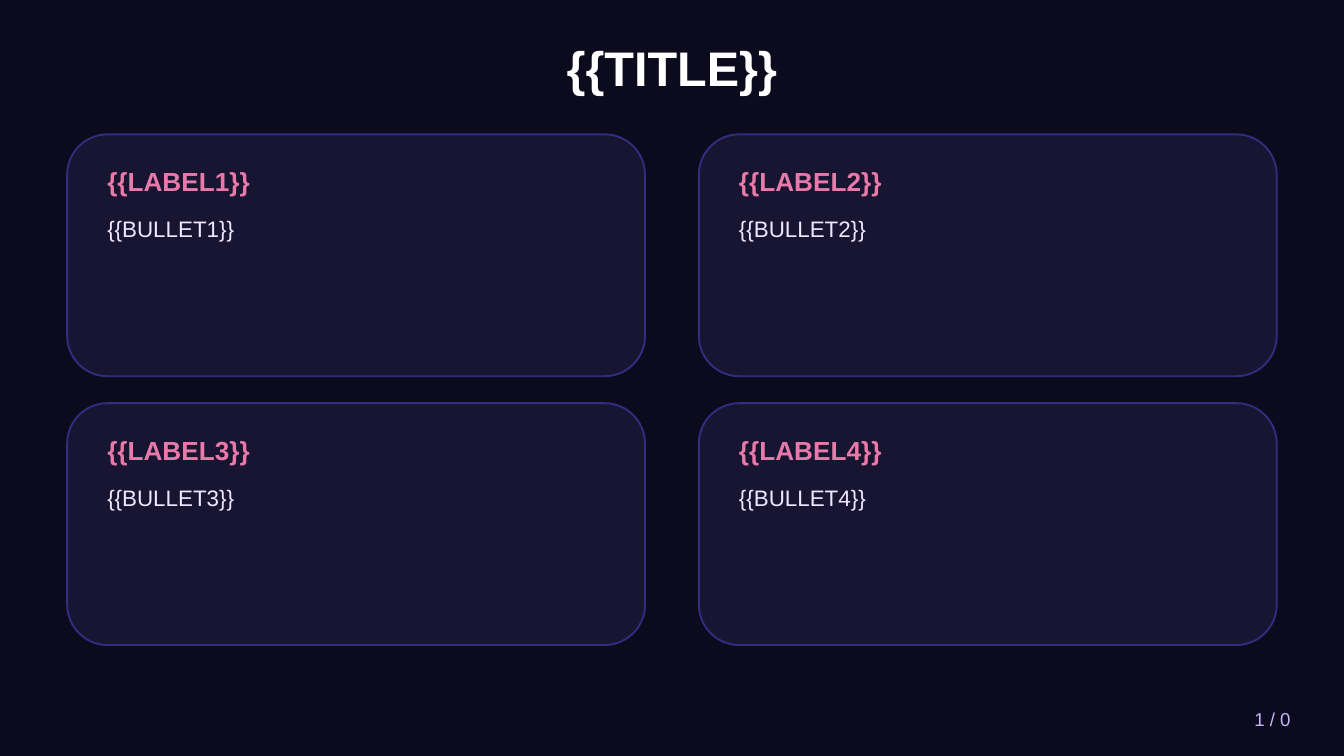
import pptx
import pptx.util
import pptx.dml.color
import pptx.enum.shapes
import pptx.enum.text
import pptx.oxml.ns
import lxml.etree

RGBColor = pptx.dml.color.RGBColor
ALIGN = pptx.enum.text.PP_ALIGN
ANCHOR = pptx.enum.text.MSO_ANCHOR

BACKGROUND = RGBColor(0x0C, 0x0A, 0x1D)
WHITE = RGBColor(0xFF, 0xFF, 0xFF)
CARD_FILL = RGBColor(0x1A, 0x17, 0x35)
CARD_LINE = RGBColor(0x31, 0x2E, 0x81)
PINK = RGBColor(0xE8, 0x79, 0xA9)
LAVENDER = RGBColor(0xF0, 0xE6, 0xFF)
VIOLET = RGBColor(0xC4, 0xB5, 0xFD)

PX = pptx.util.Inches(1) // 200


def place(sp, x, y, w, h):
    sp.left, sp.top, sp.width, sp.height = (v * PX for v in (x, y, w, h))


def write(sp, text, size, color, bold=False, align=ALIGN.LEFT, anchor=ANCHOR.MIDDLE):
    tf = sp.text_frame
    tf.text = text
    tf.word_wrap = True
    tf.vertical_anchor = anchor
    p = tf.paragraphs[0]
    p.alignment = align
    font = p.runs[0].font
    font.name = "Arial"
    font.size = pptx.util.Pt(size)
    font.bold = bold
    font.color.rgb = color


def add_text(s, x, y, w, h, text, size, color, **style):
    sp = s.shapes.add_textbox(x * PX, y * PX, w * PX, h * PX)
    write(sp, text, size, color, **style)


def add_title(s, x, y, w, h, text):
    sp = s.shapes.title
    place(sp, x, y, w, h)
    write(sp, text, 26, WHITE, bold=True, align=ALIGN.CENTER)


def add_card(s, x, y, w, h, label, bullet):
    sp = s.shapes.add_shape(
        pptx.enum.shapes.MSO_SHAPE.ROUNDED_RECTANGLE, x * PX, y * PX, w * PX, h * PX
    )
    sp.shadow.inherit = False
    sp.fill.solid()
    sp.fill.fore_color.rgb = CARD_FILL
    srgb = sp.fill._xPr.find(".//" + pptx.oxml.ns.qn("a:srgbClr"))
    lxml.etree.SubElement(srgb, pptx.oxml.ns.qn("a:alpha"), val="90000")
    sp.line.color.rgb = CARD_LINE
    sp.line.width = pptx.util.Pt(1)
    add_text(s, x + 40, y + 30, w - 80, 80, label, 14, PINK, bold=True)
    add_text(s, x + 40, y + 110, w - 80, 200, bullet, 12, LAVENDER, anchor=ANCHOR.TOP)


def add_card_grid(s, x, y, w, h):
    card_w, card_h = 860, 360
    step_x, step_y = w - card_w, h - card_h
    for i in range(4):
        row, col = divmod(i, 2)
        add_card(
            s, x + col * step_x, y + row * step_y, card_w, card_h,
            f"{{{{LABEL{i + 1}}}}}", f"{{{{BULLET{i + 1}}}}}",
        )


def main():
    prs = pptx.Presentation()
    prs.slide_width, prs.slide_height = 2000 * PX, 1125 * PX
    s = prs.slides.add_slide(prs.slide_layouts[5])
    s.background.fill.solid()
    s.background.fill.fore_color.rgb = BACKGROUND
    add_title(s, 100, 40, 1800, 120, "{{TITLE}}")
    add_card_grid(s, 100, 200, 1800, 760)
    add_text(s, 1700, 1040, 240, 60, "1 / 0", 10, VIOLET, align=ALIGN.RIGHT)
    prs.save("out.pptx")


if __name__ == "__main__":
    main()
